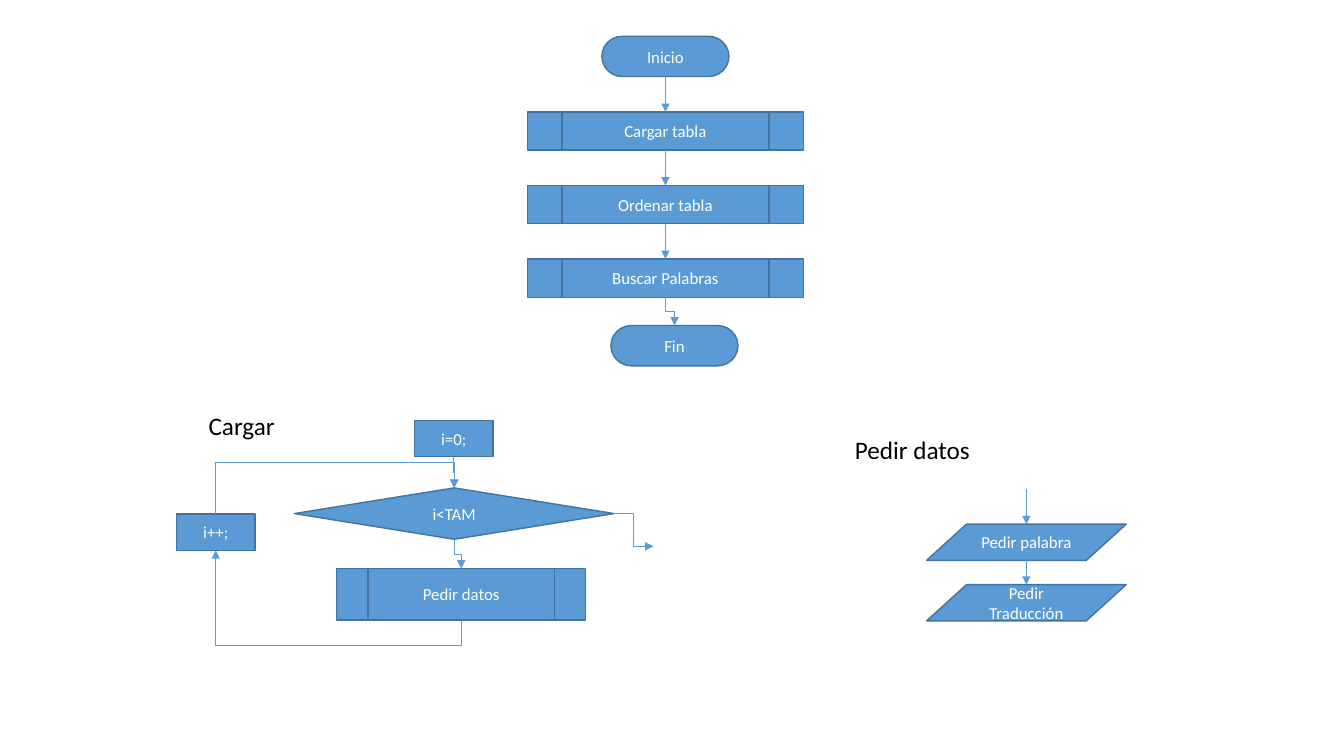
import pptx
import pptx.dml.color
import pptx.enum.shapes
import pptx.enum.text
import pptx.oxml
import pptx.oxml.ns
import pptx.util

RGBColor = pptx.dml.color.RGBColor
Kind = pptx.enum.shapes.MSO_SHAPE
Elbow = pptx.enum.shapes.MSO_CONNECTOR.ELBOW
Align = pptx.enum.text.PP_ALIGN
Anchor = pptx.enum.text.MSO_ANCHOR

BLUE = RGBColor(0x5B, 0x9B, 0xD5)
DARK_BLUE = RGBColor(0x43, 0x73, 0x9E)
WHITE = RGBColor(0xFF, 0xFF, 0xFF)
BLACK = RGBColor(0x00, 0x00, 0x00)

CELL = pptx.util.Inches(0.1)  # side of one grid column or row
TOP, LEFT, BOTTOM, RIGHT = range(4)  # connection sites of a step

TERMINAL_SIZE = (12.6, 4)
ROUTINE_SIZE = (27.4, 3.8)
ACTION_SIZE = (7.8, 3.6)
INPUT_SIZE = (19.8, 3.6)

STEP_FONT = {"name": "Calibri", "size": pptx.util.Pt(12)}
HEADING_FONT = {"name": "Calibri", "size": pptx.util.Pt(18)}


def cells(*counts):
    return [round(count * CELL) for count in counts]


def write(frame, wording, font_format, color):
    paragraph = frame.paragraphs[0]
    run = paragraph.add_run()
    run.text = wording
    for attribute, value in font_format.items():
        setattr(run.font, attribute, value)
    run.font.color.rgb = color
    return paragraph


def add_step(slide, kind, wording, column, row, size):
    step = slide.shapes.add_shape(kind, *cells(column, row, *size))
    step.shadow.inherit = False
    step.fill.solid()
    step.fill.fore_color.rgb = BLUE
    step.line.color.rgb = DARK_BLUE
    step.line.width = pptx.util.Pt(1)
    step.text_frame.word_wrap = True
    step.text_frame.vertical_anchor = Anchor.MIDDLE
    write(step.text_frame, wording, STEP_FONT, WHITE).alignment = Align.CENTER
    return step


def add_heading(slide, wording, column, row, width):
    heading = slide.shapes.add_textbox(*cells(column, row, width, 4))
    heading.text_frame.word_wrap = False
    write(heading.text_frame, wording, HEADING_FONT, BLACK)


def add_arrow(slide, start, end):
    """Draw an elbow arrow between two points in slide units."""
    arrow = slide.shapes.add_connector(Elbow, *start, *end)
    arrow.line.color.rgb = BLUE
    arrow.line.width = pptx.util.Pt(0.5)
    properties = arrow._element.spPr
    outline = properties.find(pptx.oxml.ns.qn("a:ln"))
    namespace = pptx.oxml.ns.nsdecls("a")
    outline.append(pptx.oxml.parse_xml(f'<a:tailEnd {namespace} type="triangle"/>'))
    properties.append(pptx.oxml.parse_xml(f"<a:effectLst {namespace}/>"))
    return arrow


def turn_vertical(arrow, start, end, bend):
    """Rotate an elbow so that it leaves and arrives vertically."""
    (x1, y1), (x2, y2) = start, end
    rightward, upward = x2 > x1, y2 < y1
    length, offset = abs(y2 - y1), abs(x2 - x1)
    placement = {
        "left": (x1 + x2 - length) // 2,
        "top": (y1 + y2 - offset) // 2,
        "width": length,
        "height": offset,
    }
    for attribute, value in placement.items():
        setattr(arrow, attribute, value)
    frame = arrow._element.spPr.find(pptx.oxml.ns.qn("a:xfrm"))
    turns = {
        "rot": (270 if rightward and not upward else 90) * 60000,
        "flipH": int(rightward or upward),
        "flipV": int(rightward and upward),
    }
    for attribute, value in turns.items():
        frame.set(attribute, str(value))
    guides = arrow._element.spPr.find(".//" + pptx.oxml.ns.qn("a:avLst"))
    guides.append(pptx.oxml.parse_xml(
        f'<a:gd {pptx.oxml.ns.nsdecls("a")} name="adj1" fmla="val {round(bend * 100000)}"/>'))


def edge_middle(step, site):
    return step.left + step.width // 2, step.top + (step.height if site == BOTTOM else 0)


def add_flow(slide, source, target, source_site=BOTTOM, target_site=TOP, bend=0.5):
    """Join two steps with a glued vertical arrow."""
    start, end = edge_middle(source, source_site), edge_middle(target, target_site)
    arrow = add_arrow(slide, start, end)
    arrow.begin_connect(source, source_site)
    arrow.end_connect(target, target_site)
    turn_vertical(arrow, start, end, bend)


def add_main_program(slide):
    steps = [add_step(slide, Kind.FLOWCHART_TERMINATOR, "Inicio", 59.7, 3.6, TERMINAL_SIZE)]
    for index, routine in enumerate(("Cargar tabla", "Ordenar tabla", "Buscar Palabras")):
        steps.append(add_step(slide, Kind.FLOWCHART_PREDEFINED_PROCESS, routine,
                              52.3, 11.1 + 7.3 * index, ROUTINE_SIZE))
    steps.append(add_step(slide, Kind.FLOWCHART_TERMINATOR, "Fin", 60.6, 32.3, TERMINAL_SIZE))
    for source, target in zip(steps, steps[1:]):
        add_flow(slide, source, target)


def add_load_loop(slide):
    add_heading(slide, "Cargar", 19.7, 40.2, 8.7)
    counter = add_step(slide, Kind.FLOWCHART_PROCESS, "i=0;", 41.1, 41.7, ACTION_SIZE)
    condition = add_step(slide, Kind.FLOWCHART_DECISION, "i<TAM", 29.2, 48.4, (31.7, 5.1))
    request = add_step(slide, Kind.FLOWCHART_PREDEFINED_PROCESS, "Pedir datos",
                       33.4, 56.4, (24.7, 5.1))
    increment = add_step(slide, Kind.FLOWCHART_PROCESS, "i++;", 17.5, 51, ACTION_SIZE)
    add_flow(slide, counter, condition)
    add_flow(slide, condition, request)
    add_flow(slide, request, increment, BOTTOM, BOTTOM, bend=-0.37)
    add_flow(slide, increment, condition, TOP, TOP, bend=1.98)
    loop_exit = add_arrow(slide, cells(60.9, 51), cells(64.8, 54.2))
    loop_exit.begin_connect(condition, RIGHT)


def add_data_request(slide):
    add_heading(slide, "Pedir datos", 83.8, 42.6, 13.5)
    word, translation = [
        add_step(slide, Kind.FLOWCHART_DATA, wording, 91.9, row, INPUT_SIZE)
        for wording, row in (("Pedir palabra", 52), ("Pedir Traducción", 58))
    ]
    for start, target in ((cells(101.8, 48.5), word),
                          (edge_middle(word, BOTTOM), translation)):
        end = edge_middle(target, TOP)
        turn_vertical(add_arrow(slide, start, end), start, end, bend=0.5)


def main():
    presentation = pptx.Presentation()
    presentation.slide_width = pptx.util.Inches(13.33)
    presentation.slide_height = pptx.util.Inches(7.5)
    slide = presentation.slides.add_slide(presentation.slide_layouts[6])
    add_main_program(slide)
    add_load_loop(slide)
    add_data_request(slide)
    presentation.save("out.pptx")


if __name__ == "__main__":
    main()
